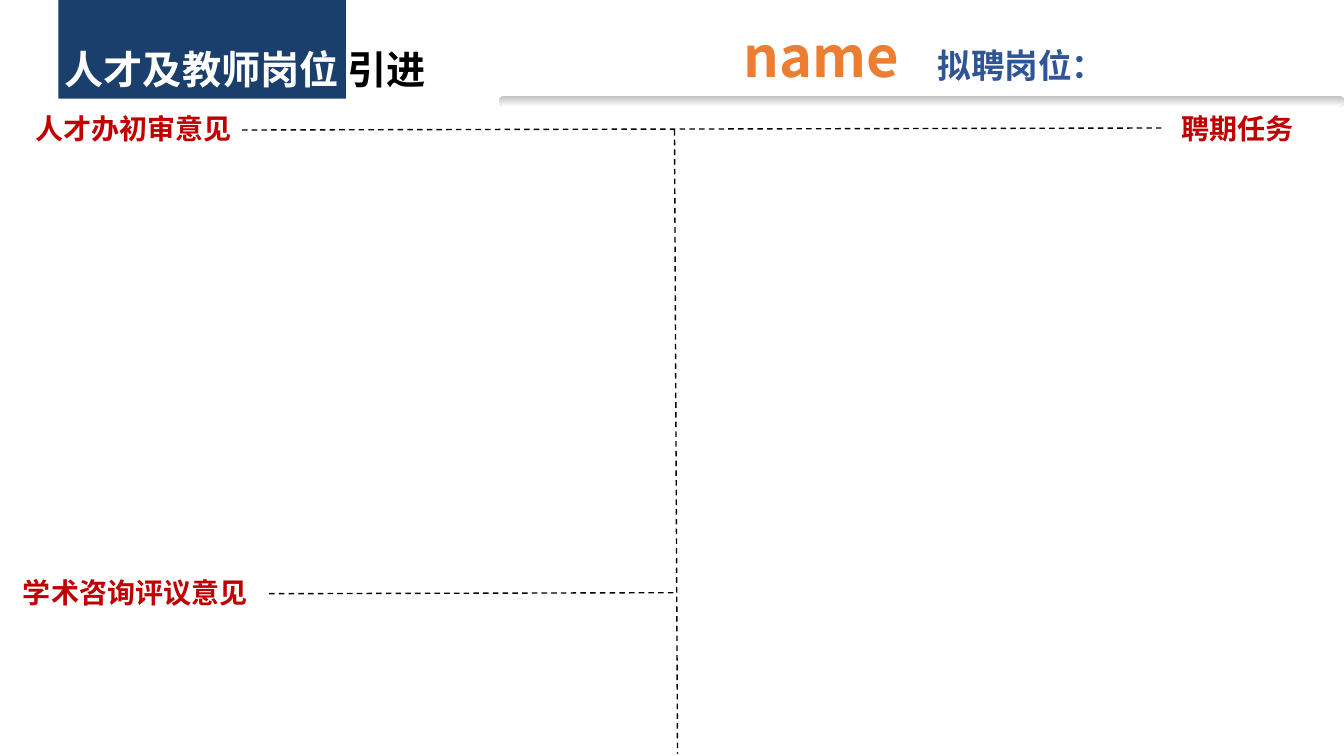
"""Build the review slide for talent and teacher recruitment."""
from lxml import etree
from pptx import Presentation
from pptx.dml.color import RGBColor
from pptx.enum.dml import MSO_LINE
from pptx.enum.shapes import MSO_CONNECTOR, MSO_SHAPE
from pptx.enum.text import MSO_ANCHOR, PP_ALIGN
from pptx.oxml.ns import qn
from pptx.util import Inches, Pt

NAVY = RGBColor(0x1A, 0x3F, 0x6C)
BLUE = RGBColor(0x2F, 0x55, 0x97)
ORANGE = RGBColor(0xED, 0x7D, 0x31)
RED = RGBColor(0xC0, 0x00, 0x00)
GREY = RGBColor(0xBF, 0xBF, 0xBF)
WHITE = RGBColor(0xFF, 0xFF, 0xFF)
BLACK = RGBColor(0x00, 0x00, 0x00)
RECT, ROUNDED = MSO_SHAPE.RECTANGLE, MSO_SHAPE.ROUNDED_RECTANGLE
STRAIGHT, DASH = MSO_CONNECTOR.STRAIGHT, MSO_LINE.DASH
TOP, MIDDLE, LEFT = MSO_ANCHOR.TOP, MSO_ANCHOR.MIDDLE, PP_ALIGN.LEFT
FONT = "Noto Sans CJK SC"

WIDTH, HEIGHT = 13.33, 7.5
TITLE_BOX = (0.54, 0.4, 4.31, 0.57)
TITLE = [("人才及教师岗位 ", WHITE), ("引进", BLACK)]
LABEL_H, HEAD_H = 0.44, 0.69
UPPER, LOWER = 1.06, 5.66
TOP_RULE, LOW_RULE, DIVIDER = 1.29, 5.89, 6.69
TEXTS = [
    ("人才办初审意见", (0.25, UPPER, 2.25, LABEL_H), 20, RED, TOP),
    ("聘期任务", (11.62, UPPER, 1.35, LABEL_H), 20, RED, TOP),
    ("学术咨询评议意见", (0.13, LOWER, 2.63, LABEL_H), 20, RED, TOP),
    ("name", (7.28, 0.2, 1.9, HEAD_H), 40, ORANGE, MIDDLE),
    ("拟聘岗位：", (9.2, 0.3, 4.1, HEAD_H), 24, BLUE, MIDDLE),
]
RULES = [
    (2.4, TOP_RULE, 11.52, 1.27),
    (DIVIDER, TOP_RULE, 6.72, 7.48),
    (2.67, LOW_RULE, DIVIDER, 5.88),
]


def inches(values):
    return [Inches(v) for v in values]


def add_block(s, kind, box):
    sp = s.shapes.add_shape(kind, *inches(box))
    sp.shadow.inherit = False
    sp.line.fill.background()
    return sp


def write(sp, parts, size, anchor):
    tf = sp.text_frame
    tf.word_wrap = True
    tf.vertical_anchor = anchor
    p = tf.paragraphs[0]
    p.alignment = LEFT
    p.font.size = Pt(size)
    p.font.bold = True
    p.font.name = FONT
    ea = etree.SubElement(p._p.pPr.find(qn("a:defRPr")), qn("a:ea"))
    ea.set("typeface", FONT)
    for text, color in parts:
        r = p.add_run()
        r.text = text
        r.font.color.rgb = color


def add_rule(s, ends):
    line = s.shapes.add_connector(STRAIGHT, *inches(ends))
    line.line.color.rgb = BLACK
    line.line.width = Pt(1)
    line.line.dash_style = DASH
    etree.SubElement(line._element.spPr, qn("a:effectLst"))


def main():
    prs = Presentation()
    prs.slide_width, prs.slide_height = inches((WIDTH, HEIGHT))
    s = prs.slides.add_slide(prs.slide_layouts[5])

    bar = add_block(s, ROUNDED, (4.95, 0.95, WIDTH - 4.95, 0.11))
    bar.adjustments[0] = 0.5
    bar.fill.gradient()
    bar.fill.gradient_angle = 270
    for stop, color, position in zip(bar.fill.gradient_stops, (GREY, WHITE), (0, 1)):
        stop.color.rgb = color
        stop.position = position

    block = add_block(s, RECT, (0.58, 0, 2.85, 0.98))
    block.fill.solid()
    block.fill.fore_color.rgb = NAVY

    title = s.shapes.title
    title.left, title.top, title.width, title.height = inches(TITLE_BOX)
    write(title, TITLE, 28, TOP)
    block._element.addnext(title._element)

    for text, box, size, color, anchor in TEXTS:
        write(s.shapes.add_textbox(*inches(box)), [(text, color)], size, anchor)
    for ends in RULES:
        add_rule(s, ends)
    prs.save("out.pptx")


if __name__ == "__main__":
    main()
